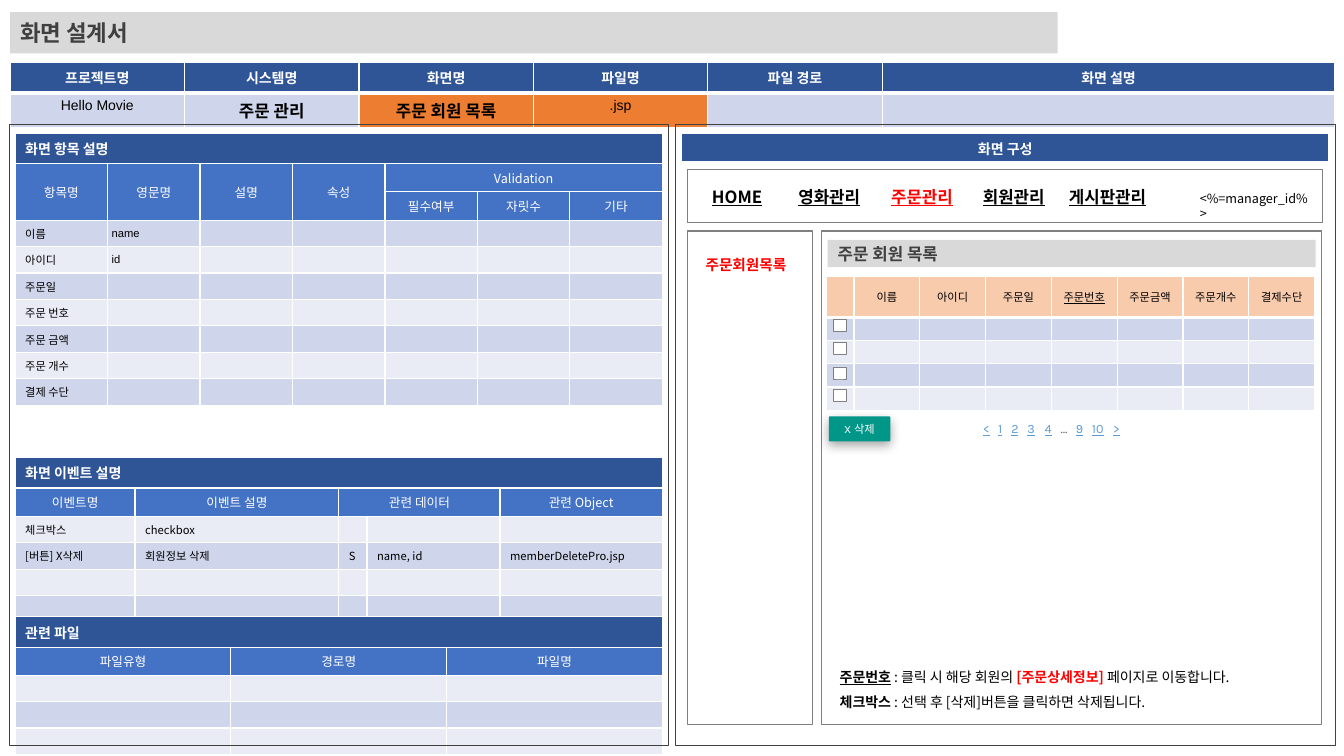
from lxml.etree import SubElement
from pptx import Presentation
from pptx.dml.color import RGBColor
from pptx.enum.shapes import MSO_SHAPE
from pptx.enum.text import MSO_ANCHOR, PP_ALIGN
from pptx.oxml.ns import qn
from pptx.util import Inches, Pt

KOREAN = "Noto Sans CJK KR"
COLORS = {
    "navy": "2F5597", "blue": "4472C4", "dark band": "CFD5EA", "light band": "E9EBF5",
    "orange": "ED7D31", "peach": "F8CBAD", "teal": "009688", "silver": "D9D9D9",
    "gray": "808080", "charcoal": "404040", "dim": "5F5F5F", "link": "5B9BD5",
    "red": "FF0000", "black": "000000", "white": "FFFFFF",
}
RGB = {name: RGBColor.from_string(value) for name, value in COLORS.items()}
LEFT, CENTER = PP_ALIGN.LEFT, PP_ALIGN.CENTER
STYLES = {
    "banner": ("navy", 3, dict(size=10, color="white", bold=True, align=CENTER)),
    "title": ("navy", 1, dict(size=10, color="white", bold=True)),
    "heading": ("blue", 1, dict(size=9, color="white", align=CENTER)),
    "column": ("peach", 3, dict(size=8, align=CENTER)),
    "dark": ("dark band", 1, dict(size=8)),
    "light": ("light band", 1, dict(size=8)),
}

presentation = Presentation()
presentation.slide_width = Inches(13.33)
presentation.slide_height = Inches(7.5)
slide = presentation.slides.add_slide(presentation.slide_layouts[6])
shapes = slide.shapes


def write(paragraph, text, size=10, color="black", bold=False, underline=False,
          font=KOREAN, align=LEFT):
    paragraph.alignment = align
    run = paragraph.add_run()
    run.text = text
    run.font.size = Pt(size)
    run.font.bold = bold
    run.font.underline = underline
    run.font.name = font
    run.font.color.rgb = RGB[color]
    SubElement(run.font._element, qn("a:ea"), typeface=KOREAN)


def build_table(left, top, widths, heights, rows, anchor=MSO_ANCHOR.MIDDLE):
    table = shapes.add_table(len(rows), len(widths), Inches(left), Inches(top),
                             Inches(sum(widths)), Inches(sum(heights))).table
    table.first_row = table.horz_banding = False
    for column, width in zip(table.columns, widths):
        column.width = Inches(width)
    top_border = 1
    for row, height, (style, texts) in zip(table.rows, heights, rows):
        row.height = Inches(height)
        fill, bottom_border, text_format = STYLES[style]
        texts = texts + [""] * (len(widths) - len(texts))
        for cell, text in zip(row.cells, texts):
            cell.vertical_anchor = anchor
            paragraph = cell.text_frame.paragraphs[0]
            if text:
                write(paragraph, text, **text_format)
            else:
                SubElement(paragraph._p, qn("a:endParaRPr"), sz="500")
            properties = cell._tc.get_or_add_tcPr()
            borders = {"L": 1, "R": 1, "T": top_border, "B": bottom_border}
            for side, points in borders.items():
                border = SubElement(properties, qn(f"a:ln{side}"), w=str(Pt(points)))
                solid = SubElement(border, qn("a:solidFill"))
                SubElement(solid, qn("a:srgbClr"), val=COLORS["white"])
            cell.fill.solid()
            cell.fill.fore_color.rgb = RGB[fill]
        top_border = bottom_border
    return table


checkboxes = [(8.27, top, 0.12, 0.12, "white", "gray", 0.5) for top in (3.17, 3.4, 3.64, 3.86)]
rectangles = [
    (0.09, 1.23, 6.54, 6.17, None, "charcoal", 0.5),
    (6.7, 1.23, 6.54, 6.17, None, "charcoal", 0.5),
    (6.82, 1.68, 6.3, 0.53, None, "gray", 1),
    (6.82, 2.29, 1.24, 4.9, None, "gray", 1),
    (8.15, 2.29, 4.96, 4.9, None, "gray", 1),
    (0.1, 0.12, 10.39, 0.41, "silver", None, 0, "화면 설계서", dict(size=16, color="charcoal", bold=True)),
    (8.21, 2.38, 4.84, 0.27, "silver", None, 0, "주문 회원 목록", dict(size=12, color="charcoal", bold=True)),
    (8.22, 4.13, 0.61, 0.25, "teal", None, 0, "X 삭제",
     dict(size=8, color="white", font="Karla", align=CENTER)),
]

header = build_table(0.1, 0.62, [1.73] * 5 + [4.49], [0.29, 0.34], [
    ("banner", ["프로젝트명", "시스템명", "화면명", "파일명", "파일 경로", "화면 설명"]),
    ("dark", []),
], anchor=MSO_ANCHOR.TOP)
for index, (text, size, bold) in enumerate([
        ("Hello Movie", 10, False), ("주문 관리", 12, True),
        ("주문 회원 목록", 12, True), (".jsp", 10, False)]):
    cell = header.cell(1, index)
    write(cell.text_frame.paragraphs[0], text, size=size, bold=bold, font="Arial", align=CENTER)
    if index >= 2:
        cell.fill.fore_color.rgb = RGB["orange"]

fields = ["이름", "아이디", "주문일", "주문 번호", "주문 금액", "주문 개수", "결제 수단"]
items = build_table(0.15, 1.32, [0.917] * 7, [0.3, 0.28, 0.28] + [0.26] * 7, [
    ("title", ["화면 항목 설명"]),
    ("heading", ["항목명", "영문명", "설명", "속성", "Validation"]),
    ("heading", ["", "", "", "", "필수여부", "자릿수", "기타"]),
] + [(("dark", "light")[index % 2], [field]) for index, field in enumerate(fields)])
items.cell(0, 0).merge(items.cell(0, 6))
items.cell(1, 4).merge(items.cell(1, 6))
for column in range(4):
    items.cell(1, column).merge(items.cell(2, column))
for row, text in ((3, "name"), (4, "id")):
    cell = items.cell(row, 1)
    cell.margin_left = cell.margin_right = Inches(0.04)
    write(cell.text_frame.paragraphs[0], text, size=8, font="Arial")

events = build_table(0.15, 4.54, [1.19, 2.02, 0.28, 1.32, 1.61], [0.3, 0.28] + [0.26] * 4, [
    ("title", ["화면 이벤트 설명"]),
    ("heading", ["이벤트명", "이벤트 설명", "관련 데이터", "", "관련 Object"]),
    ("light", ["체크박스", "checkbox"]),
    ("dark", ["[버튼] X삭제", "회원정보 삭제", "S", "name, id", "memberDeletePro.jsp"]),
    ("light", []),
    ("dark", []),
])
events.cell(0, 0).merge(events.cell(0, 4))
events.cell(1, 2).merge(events.cell(1, 3))

files = build_table(0.15, 6.12, [2.14] * 3, [0.3, 0.28] + [0.26] * 3, [
    ("title", ["관련 파일"]),
    ("heading", ["파일유형", "경로명", "파일명"]),
    ("light", []),
    ("dark", []),
    ("light", []),
])
files.cell(0, 0).merge(files.cell(0, 2))

build_table(6.76, 1.32, [6.42], [0.29], [("banner", ["화면 구성"])])
orders = build_table(8.2, 2.74, [0.27] + [0.653] * 7, [0.41] + [0.23] * 4, [
    ("column", ["", "이름", "아이디", "주문일", "주문번호", "주문금액", "주문개수", "결제수단"]),
] + [("dark", []), ("light", [])] * 2)
orders.cell(0, 4).text_frame.paragraphs[0].runs[0].font.underline = True

for left, top, width, height, fill, line, points, *label in rectangles + checkboxes:
    kind = MSO_SHAPE.ROUNDED_RECTANGLE if fill == "teal" else MSO_SHAPE.RECTANGLE
    shape = shapes.add_shape(kind, Inches(left), Inches(top), Inches(width), Inches(height))
    shape.shadow.inherit = False
    if fill:
        shape.fill.solid()
        shape.fill.fore_color.rgb = RGB[fill]
    else:
        shape.fill.background()
    if line:
        shape.line.color.rgb = RGB[line]
        shape.line.width = Pt(points)
    else:
        shape.line.fill.background()
    if label:
        text, text_format = label
        shape.text_frame.vertical_anchor = MSO_ANCHOR.MIDDLE
        write(shape.text_frame.paragraphs[0], text, **text_format)
    if fill == "teal":
        shape.adjustments[0] = 0.05
        shape.text_frame.margin_left = shape.text_frame.margin_right = Inches(0.08)
        effects = shape._element.spPr.find(qn("a:effectLst"))
        shadow = SubElement(effects, qn("a:outerShdw"), blurRad=str(Pt(8)), dist=str(Pt(3)),
                            dir="5400000", algn="t", rotWithShape="0")
        shadow_color = SubElement(shadow, qn("a:srgbClr"), val=COLORS["black"])
        SubElement(shadow_color, qn("a:alpha"), val="35000")

pages = ["<", "1", "2", "3", "4", "…", "9", "10", ">"]
page_stops = [0.15, 0.28, 0.44, 0.61, 0.77, 0.92, 1.08, 1.29]
page_runs = []
for page in pages:
    if page_runs:
        page_runs.append(("\t", dict(size=9, font="Karla")))
    page_runs.append((page, dict(size=9, font="Karla", underline=page != "…",
                                 color="dim" if page == "…" else "link")))

menu = [("HOME", 7.05, 0.52), ("영화관리", 7.89, 0.67), ("주문관리", 8.81, 0.67),
        ("회원관리", 9.72, 0.67), ("게시판관리", 10.55, 0.87)]
text_boxes = [
    (left, 1.85, width, 0.2, 0, 0, False, 1,
     [[(text, dict(size=12, bold=True, underline=True, align=CENTER,
                   color="red" if text == "주문관리" else "black"))]])
    for text, left, width in menu
] + [
    (6.9, 2.49, 1.09, 0.28, 0.1, 0.05, True, 1,
     [[("주문회원목록", dict(size=10.5, color="red", bold=True))]]),
    (11.9, 1.89, 1.12, 0.3, 0, 0, True, 1, [[("<%=manager_id%>", dict(size=9))]]),
    (8.23, 6.5, 4.55, 0.57, 0.1, 0.05, True, 1.5, [
        [("주문번호", dict(bold=True, underline=True)), (" : 클릭 시 해당 회원의 ", {}),
         ("[주문상세정보] ", dict(color="red", bold=True)), ("페이지로 이동합니다.", {})],
        [("체크박스 ", dict(bold=True)), (": 선택 후 [삭제]버튼을 클릭하면 삭제됩니다.", {})],
    ]),
    (9.67, 4.14, 1.75, 0.23, 0.08, 0.04, True, 1, [page_runs]),
]
for left, top, width, height, side, edge, wrap, spacing, paragraphs in text_boxes:
    frame = shapes.add_textbox(Inches(left), Inches(top), Inches(width), Inches(height)).text_frame
    frame.word_wrap = wrap
    frame.margin_left = frame.margin_right = Inches(side)
    frame.margin_top = frame.margin_bottom = Inches(edge)
    if not wrap:
        frame.vertical_anchor = MSO_ANCHOR.MIDDLE
    for index, runs in enumerate(paragraphs):
        paragraph = frame.add_paragraph() if index else frame.paragraphs[0]
        paragraph.line_spacing = spacing
        if runs is page_runs:
            tabs = SubElement(paragraph._p.get_or_add_pPr(), qn("a:tabLst"))
            for stop in page_stops:
                SubElement(tabs, qn("a:tab"), pos=str(Inches(stop)), algn="l")
        for text, text_format in runs:
            write(paragraph, text, **text_format)

presentation.save("out.pptx")
